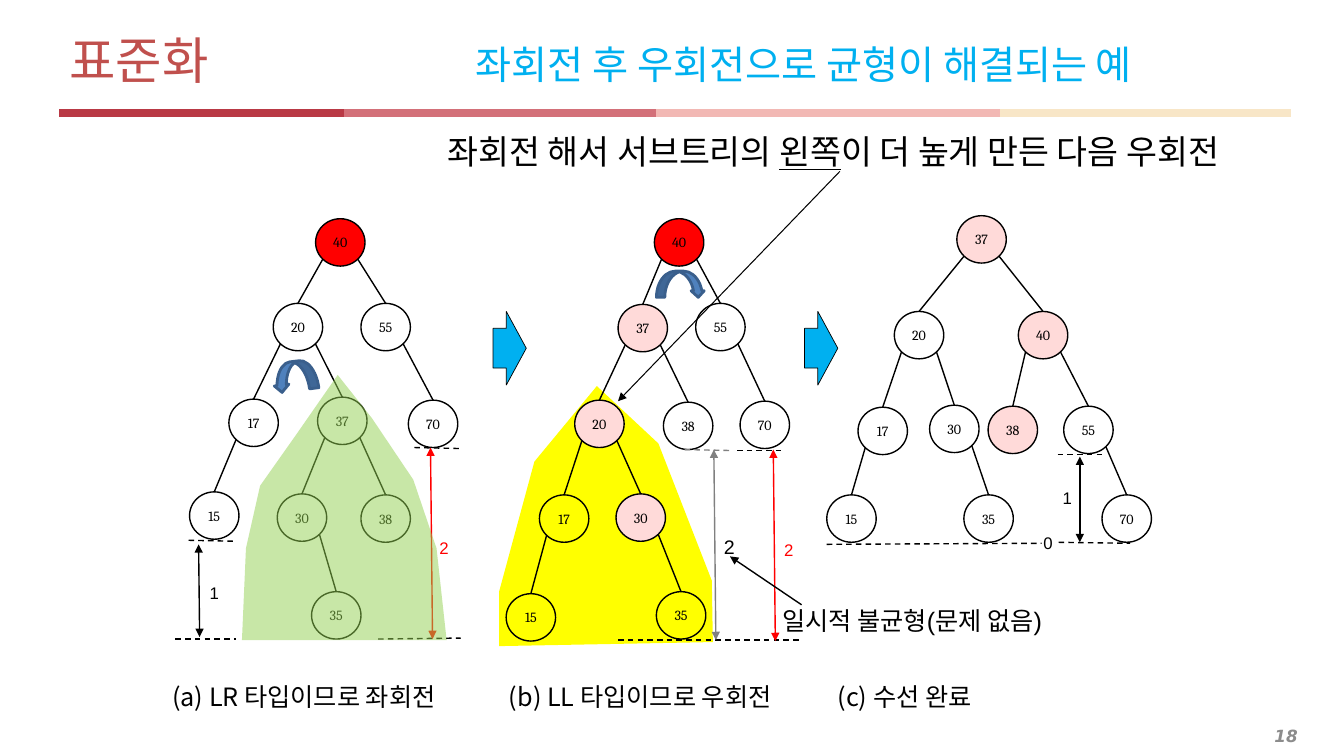
from pptx import Presentation
from pptx import util as u
from pptx.dml.color import RGBColor
from pptx.enum import dml, shapes as s, text as t
from pptx.oxml import parse_xml
from pptx.oxml.ns import nsdecls, qn
from lxml import etree


class Theme:
    black, red, grey, sky = "000000", "FF0000", "808080", "00B0F0"
    pink, yellow, green = "FFDAD9", "FFFF00", "92D050"
    title, page, turn, edge = "C0504D", "8C8C8C", "4F81BD", "3A5F8C"
    noto, arial, serif, sans = "Noto Sans CJK KR", "Arial", "Cambria", "DejaVu Sans"
    head, sub, lead, body, dim, note, node = 36, 28, 24, 18, 14, 12, 10


T = Theme
NODE = (0.49, 0.47)
BARS = [(3.1, 6.51, "D37079"), (6.51, 9.92, "F2B8B4"),
        (9.92, 12.8, "F8E6C7"), (0.59, 3.41, "B93945")]
YELLOW = [(5.92, 3.83), (5.3, 4.58), (4.95, 5.87), (4.95, 6.41),
          (7.07, 6.37), (7.06, 5.76), (6.53, 4.4)]
GREEN = [(3.35, 3.72), (2.94, 4.31), (2.58, 4.82), (2.44, 5.44), (2.4, 6.35),
         (4.43, 6.35), (4.33, 5.44), (4.1, 4.76), (3.69, 4.15)]
# key: left, top, parent key, fill
TREES = [
    {40: (3.13, 2.17, None, T.red), 20: (2.71, 3.01, 40, None),
     55: (3.58, 3.01, 40, None), 17: (2.27, 3.96, 20, None),
     37: (3.15, 3.94, 20, None), 70: (4.05, 3.97, 55, None),
     15: (1.88, 4.88, 17, None), 30: (2.75, 4.9, 37, None),
     38: (3.58, 4.91, 37, None), 35: (3.09, 5.87, 30, None)},
    {40: (6.49, 2.17, None, T.red), 37: (6.13, 3.02, 40, T.pink),
     55: (6.9, 3.01, 40, None), 20: (5.7, 3.97, 37, T.pink),
     38: (6.58, 3.99, 37, None), 70: (7.34, 3.98, 55, None),
     17: (5.35, 4.91, 20, None), 30: (6.11, 4.9, 20, T.pink),
     15: (5.02, 5.89, 17, None), 35: (6.51, 5.87, 30, None)},
    {37: (9.49, 2.14, None, T.pink), 20: (8.87, 3.09, 37, None),
     40: (10.1, 3.09, 37, T.pink), 17: (8.51, 4.04, 20, None),
     30: (9.22, 4.02, 20, None), 38: (9.8, 4.03, 40, T.pink),
     55: (10.55, 4.03, 40, None), 15: (8.2, 4.91, 17, None),
     35: (9.56, 4.91, 30, None), 70: (10.93, 4.91, 55, None)},
]
LEVELS = [
    (1.74, 6.34, 2.34, 6.34, T.black), (1.87, 5.36, 2.34, 5.37, T.black),
    (3.75, 6.34, 4.57, 6.33, T.black), (4.11, 4.44, 4.57, 4.45, T.black),
    (6.13, 6.35, 7.95, 6.35, T.black), (7.31, 4.47, 7.78, 4.47, T.black),
    (6.79, 4.46, 7.26, 4.47, T.grey), (10.5, 5.38, 11.21, 5.39, T.black),
    (8.2, 5.4, 10.33, 5.39, T.black), (10.49, 4.51, 10.96, 4.51, T.black)]
SPANS = [
    (1.97, 5.4, 1.98, 6.32, T.black), (4.27, 4.44, 4.29, 6.34, T.red),
    (7.67, 4.46, 7.69, 6.36, T.red), (7.08, 4.46, 7.1, 6.35, T.grey),
    (10.71, 4.53, 10.71, 5.38, T.black)]
GAPS = [("1", 1.98, 5.73, T.black), ("2", 4.26, 5.29, T.red),
        ("2", 7.68, 5.31, T.red), ("1", 10.44, 4.79, T.black),
        ("0", 10.25, 5.24, T.black)]
STEPS = [4.89, 7.98]
# left, top, width, height, rotation, flipped, first adjustment
TURNS = [(2.78, 3.51, 0.29, 0.44, 82.6, False, 0.32),
         (6.62, 2.58, 0.26, 0.48, 270, True, 0.32)]
TITLE = [("표준화\t", {}),
         ("좌회전 후 우회전으로 균형이 해결되는 예", {"size": T.sub, "color": T.sky})]
LEAD = [("좌회전 해서 서브트리의 ", {}), ("왼쪽", {"line": True}),
        ("이 더 높게 만든 다음 우회전", {})]
NOTE = [("일시적 불균형(문제 없음)", {})]
STAGES = [("(a) LR 타입이므로 좌회전\t(b) LL 타입이므로 우회전\t(c) 수선 완료", {})]

deck = Presentation()
deck.slide_width, deck.slide_height = u.Inches(13.33), u.Inches(7.5)
page = deck.slides.add_slide(deck.slide_layouts[6]).shapes


def rgb(code):
    return RGBColor.from_string(code)


def style(font, size, color, face=None):
    font.size, font.color.rgb = u.Pt(size), rgb(color)
    if face:
        font.name = face


def paint(shape, fill, edge=None, width=1):
    shape.shadow.inherit = False
    if fill:
        shape.fill.solid()
        shape.fill.fore_color.rgb = rgb(fill)
    else:
        shape.fill.background()
    if edge:
        shape.line.color.rgb, shape.line.width = rgb(edge), u.Pt(width)
    else:
        shape.line.fill.background()


def rule(x1, y1, x2, y2, color=T.black, width=1, dash=False, ends=()):
    """Draw a straight line; ends holds headEnd and/or tailEnd for arrowheads."""
    line = page.add_connector(s.MSO_CONNECTOR.STRAIGHT, *map(u.Inches, (x1, y1, x2, y2)))
    line.line.color.rgb, line.line.width = rgb(color), u.Pt(width)
    if dash:
        line.line.dash_style = dml.MSO_LINE.DASH
    for end in ends:
        etree.SubElement(line.line._get_or_add_ln(), qn("a:" + end), type="triangle")
    etree.SubElement(line._element.spPr, qn("a:effectLst"))
    return line


def blob(points, fill, alpha=None):
    start, *rest = [tuple(map(u.Inches, point)) for point in points]
    pen = page.build_freeform(*start)
    pen.add_line_segments(rest, close=True)
    shape = pen.convert_to_shape()
    paint(shape, fill)
    if alpha:
        color = shape._element.spPr.find(qn("a:solidFill"))[0]
        etree.SubElement(color, qn("a:alpha"), val=str(alpha * 1000))


def write(runs, box, size, color, face, wrap=True, middle=False, align=None, tabs=()):
    frame = page.add_textbox(*map(u.Inches, box)).text_frame
    frame.word_wrap = wrap
    if middle:
        frame.vertical_anchor = t.MSO_ANCHOR.MIDDLE
    para = frame.paragraphs[0]
    para.alignment = align
    if tabs:
        stops = "".join(f'<a:tab pos="{u.Inches(x)}" algn="l"/>' for x in tabs)
        para._p.get_or_add_pPr().append(
            parse_xml(f'<a:tabLst {nsdecls("a")}>{stops}</a:tabLst>'))
    style(para.font, size, color, face)
    for words, look in runs:
        run = para.add_run()
        run.text = words
        if "size" in look:
            style(run.font, look["size"], look["color"])
        if "line" in look:
            run.font.underline = True
    return para


def grow(tree):
    """Draw the nodes, then join each to its parent: smaller keys hang left."""
    wide, high = NODE
    discs = {}
    for key, (x, y, _, fill) in tree.items():
        disc = discs[key] = page.add_shape(
            s.MSO_SHAPE.OVAL, *map(u.Inches, (x, y, wide, high)))
        paint(disc, fill, T.black)
        frame = disc.text_frame
        frame.margin_left = frame.margin_right = 0
        frame.vertical_anchor = t.MSO_ANCHOR.MIDDLE
        para = frame.paragraphs[0]
        para.text, para.alignment = str(key), t.PP_ALIGN.CENTER
        style(para.font, T.node, T.black, T.serif)
    for key, (x, y, up, _) in tree.items():
        if up:
            px, py = tree[up][:2]
            side = -1 if key < up else 1
            edge = rule(px + wide * (0.5 + side * 0.354), py + high * 0.854,
                        x + wide / 2, y)
            edge.end_connect(discs[key], 0)


num = write([("18", {})], (0.2, 7.14, 12.77, 0.31), T.note, T.page, T.sans,
            middle=True, align=t.PP_ALIGN.RIGHT)
num.font.bold = num.font.italic = True
for left, right, color in BARS:
    rule(left, 1.12, right, 1.12, color, 6)
blob(YELLOW, T.yellow)
write(TITLE, (0.59, 0.25, 12.21, 0.68), T.head, T.title, T.noto, middle=True, tabs=[4.03])
for tree in TREES:
    grow(tree)
for *ends, color in LEVELS:
    rule(*ends, color, dash=True)
for *ends, color in SPANS:
    rule(*ends, color, ends=("headEnd", "tailEnd"))
for words, x, y, color in GAPS:
    write([(words, {})], (x, y, 0.3, 0.3), T.note, color, T.arial, wrap=False)
blob(GREEN, T.green, 50)
write([("2", {})], (7.08, 5.26, 0.28, 0.32), T.dim, T.black, T.arial,
      wrap=False, middle=True, align=t.PP_ALIGN.CENTER)
write(NOTE, (7.66, 5.96, 3.03, 0.4), T.body, T.black, T.arial, wrap=False)
rule(7.95, 6, 7.24, 5.52, ends=("tailEnd",))
for x in STEPS:
    step = page.add_shape(s.MSO_SHAPE.RIGHT_ARROW, *map(u.Inches, (x, 3.09, 0.33, 0.73)))
    step.adjustments[0], step.adjustments[1] = 0.54, 0.6
    paint(step, T.sky, T.black, 0.5)
write(LEAD, (4.34, 1.25, 8.69, 0.5), T.lead, T.black, T.arial, wrap=False)
for *box, angle, flip, bend in TURNS:
    turn = page.add_shape(s.MSO_SHAPE.CURVED_RIGHT_ARROW, *map(u.Inches, box))
    turn.rotation, turn.adjustments[0] = angle, bend
    if flip:
        turn._element.spPr.xfrm.set("flipH", "1")
    paint(turn, T.turn, T.edge, 2)
write(STAGES, (1.61, 6.71, 10.57, 0.4), T.body, T.black, T.noto, tabs=[3.34, 6.6])
rule(8.33, 1.7, 6.13, 3.98, width=0.75, ends=("tailEnd",))
deck.save("out.pptx")
